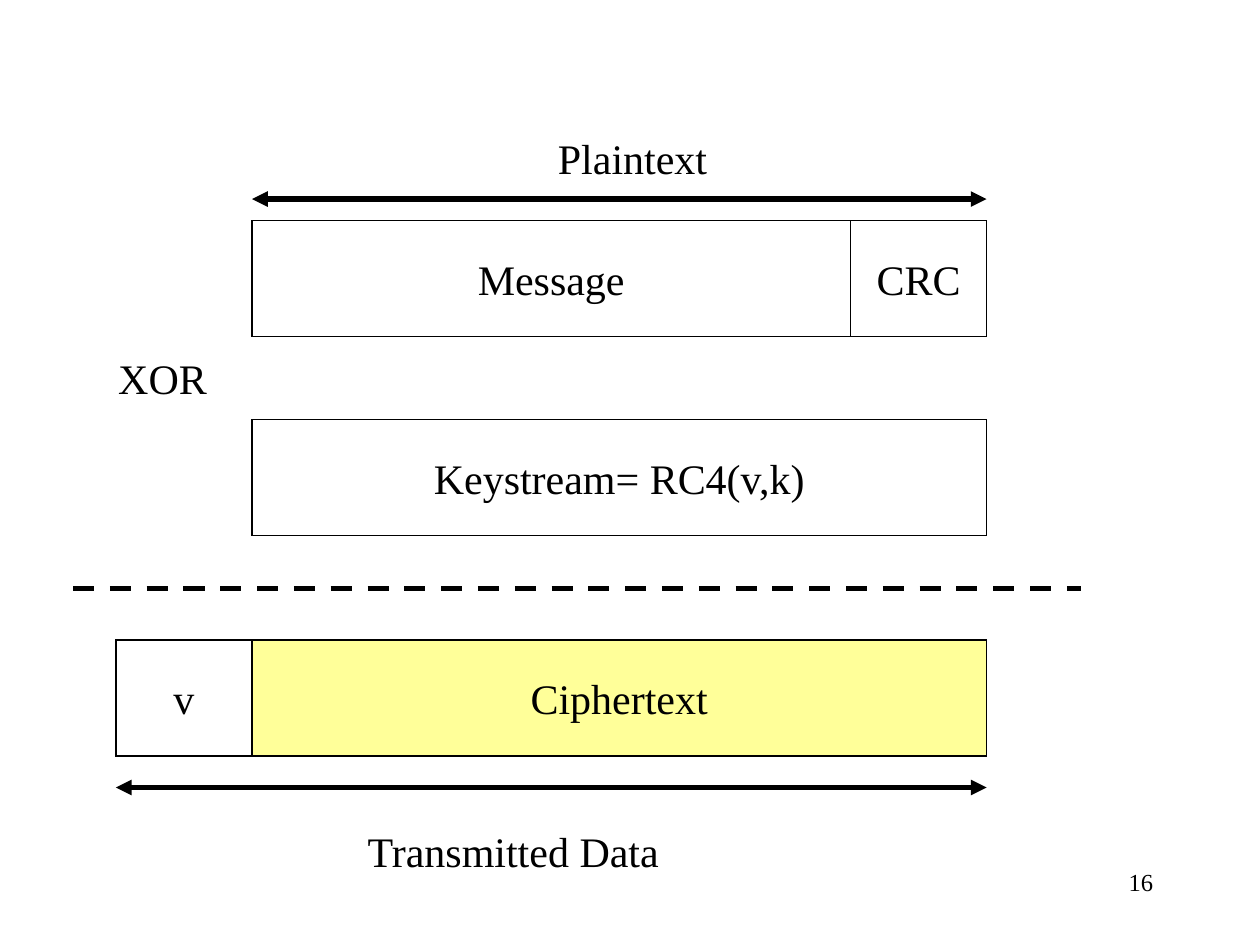
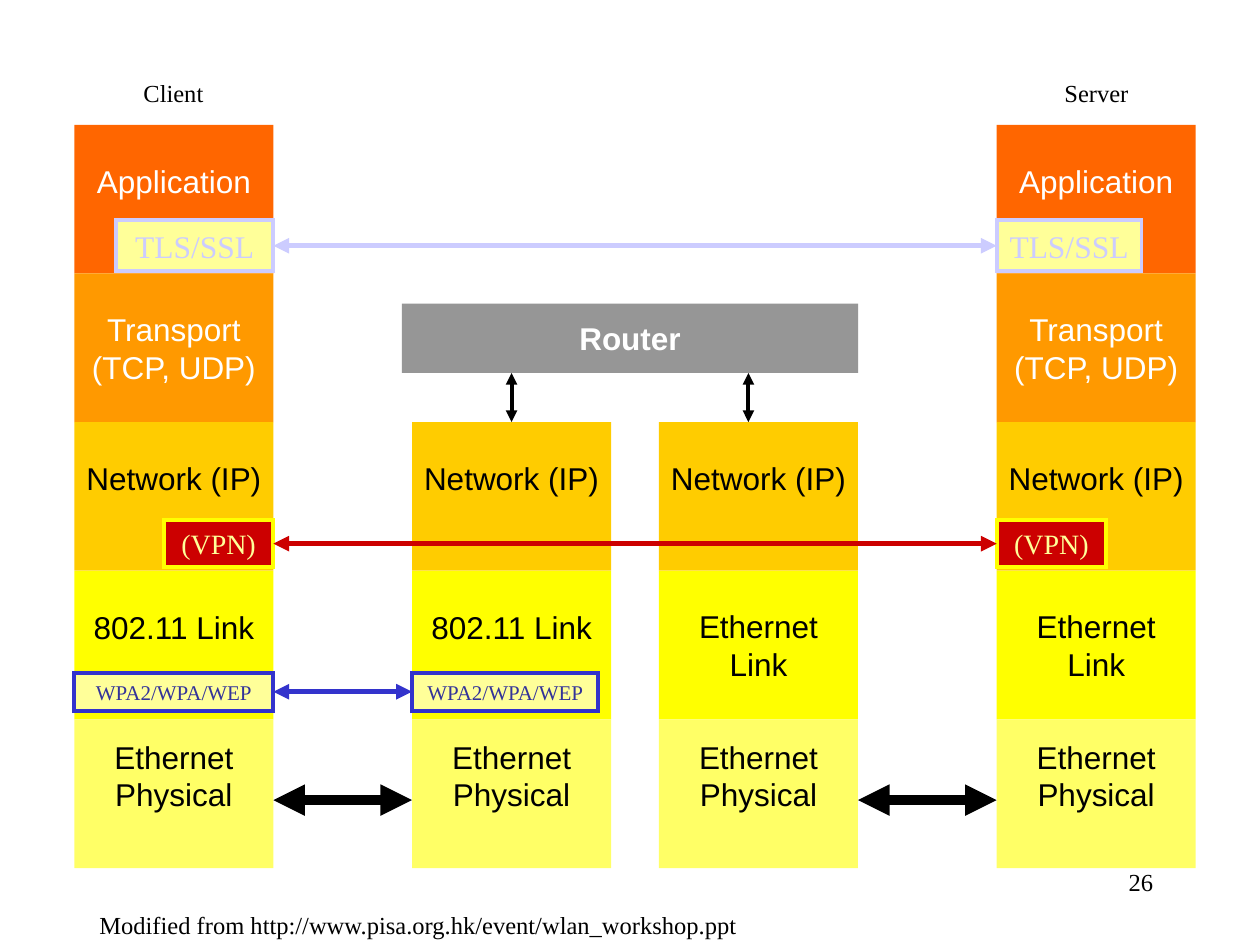
import pptx
import pptx.dml.color
import pptx.enum.dml
import pptx.enum.shapes
import pptx.enum.text
import pptx.oxml
import pptx.oxml.ns
import pptx.util
from lxml import etree

Inches, Pt = pptx.util.Inches, pptx.util.Pt
RGB = pptx.dml.color.RGBColor
ALIGN = pptx.enum.text.PP_ALIGN
ANCHOR = pptx.enum.text.MSO_ANCHOR
AUTO_SIZE = pptx.enum.text.MSO_AUTO_SIZE
DASH = pptx.enum.dml.MSO_LINE.DASH
qn = pptx.oxml.ns.qn

BLACK, WHITE = RGB(0, 0, 0), RGB(255, 255, 255)
PALE_YELLOW = RGB(0xFF, 0xFF, 0x99)
YELLOW = RGB(0xFF, 0xFF, 0)
LAVENDER = RGB(0xCC, 0xCC, 0xFF)
RED = RGB(0xCC, 0, 0)
BLUE, INDIGO = RGB(0x33, 0x33, 0xCC), RGB(0x33, 0x33, 0x99)
GRAY = RGB(0x96, 0x96, 0x96)

SERIF, SANS = "Times New Roman", "Arial"
BIG = {"name": SERIF, "size": Pt(24), "color": BLACK}
SMALL = {"name": SERIF, "size": Pt(14), "color": BLACK}
TLS = {"name": SERIF, "size": Pt(18), "color": LAVENDER}
VPN = {"name": SERIF, "size": Pt(16), "color": PALE_YELLOW}
WPA = {"name": SERIF, "size": Pt(12), "color": INDIGO}
ROUTER = {"name": SANS, "size": Pt(18), "color": WHITE, "bold": True}
LAYER_DARK = {"name": SANS, "size": Pt(18), "color": WHITE}
LAYER_LIGHT = {"name": SANS, "size": Pt(18), "color": BLACK}

# Protocol layers from top to bottom: fill, text format
LAYERS = [
    (RGB(0xFF, 0x66, 0), LAYER_DARK),
    (RGB(0xFF, 0x99, 0), LAYER_DARK),
    (RGB(0xFF, 0xCC, 0), LAYER_LIGHT),
    (YELLOW, LAYER_LIGHT),
    (RGB(0xFF, 0xFF, 0x66), LAYER_LIGHT),
]
LAYER_TOP, LAYER_W, LAYER_H = 0.99, 1.58, 1.18
RAISED, CENTRED = 0.34, 0.05  # bottom insets; the larger lifts text by half a line

APPLICATION = ("Application", RAISED)
TRANSPORT = ("Transport\n(TCP, UDP)", CENTRED)
NETWORK = ("Network (IP)", RAISED)
WIFI_LINK = ("802.11 Link", RAISED)
ETHERNET_LINK = ("Ethernet\nLink", CENTRED)
PHYSICAL = ("Ethernet\nPhysical", RAISED)

CLIENT_X, WIFI_X, WIRED_X, SERVER_X = 0.59, 3.27, 5.23, 7.91
STACKS = [
    (CLIENT_X, [APPLICATION, TRANSPORT, NETWORK, WIFI_LINK, PHYSICAL]),
    (WIFI_X, [NETWORK, WIFI_LINK, PHYSICAL]),
    (WIRED_X, [NETWORK, ETHERNET_LINK, PHYSICAL]),
    (SERVER_X, [APPLICATION, TRANSPORT, NETWORK, ETHERNET_LINK, PHYSICAL]),
]


def write(tf, text, fmt, align):
    """Fill a text frame, one paragraph for each line of text."""
    for i, words in enumerate(text.split("\n")):
        p = tf.add_paragraph() if i else tf.paragraphs[0]
        p.alignment = align
        r = p.add_run()
        r.text = words
        for key, value in fmt.items():
            if key == "color":
                r.font.color.rgb = value
            else:
                setattr(r.font, key, value)


def add_box(s, x, y, w, h, text, fmt, fill=None, line=None, weight=0.75, bottom=0.05):
    sp = s.shapes.add_shape(pptx.enum.shapes.MSO_SHAPE.RECTANGLE,
                            Inches(x), Inches(y), Inches(w), Inches(h))
    sp.shadow.inherit = False
    if fill is None:
        sp.fill.background()
    else:
        sp.fill.solid()
        sp.fill.fore_color.rgb = fill
    if line is None:
        sp.line.fill.background()
    else:
        sp.line.color.rgb = line
        sp.line.width = Pt(weight)
        etree.SubElement(sp.line._get_or_add_ln(), qn("a:miter"), lim="800000")
    tf = sp.text_frame
    tf.word_wrap = False
    tf.vertical_anchor = ANCHOR.MIDDLE
    tf.margin_bottom = Inches(bottom)
    write(tf, text, fmt, ALIGN.CENTER)
    return sp


def add_label(s, x, y, w, h, text, fmt):
    tf = s.shapes.add_textbox(Inches(x), Inches(y), Inches(w), Inches(h)).text_frame
    tf.word_wrap = False
    tf.auto_size = AUTO_SIZE.SHAPE_TO_FIT_TEXT
    write(tf, text, fmt, ALIGN.LEFT)


def add_page_number(s, number):
    sp = s.shapes.add_textbox(Inches(7.17), Inches(6.83), Inches(2.08), Inches(0.5))
    sp.text_frame.word_wrap = True
    write(sp.text_frame, str(number), SMALL, ALIGN.RIGHT)


def add_line(s, x1, y1, x2, y2, color=BLACK, weight=3, dash=None):
    c = s.shapes.add_connector(pptx.enum.shapes.MSO_CONNECTOR.STRAIGHT,
                               Inches(x1), Inches(y1), Inches(x2), Inches(y2))
    c.line.color.rgb = color
    c.line.width = Pt(weight)
    if dash:
        c.line.dash_style = dash
    etree.SubElement(c._element.spPr, qn("a:effectLst"))
    return c


def add_arrow(s, *ends, **style):
    """Draw a line with a triangle at both ends."""
    c = add_line(s, *ends, **style)
    ln = c.line._get_or_add_ln()
    for tag in ("a:headEnd", "a:tailEnd"):
        etree.SubElement(ln, qn(tag), type="triangle")
    return c


def link(s, left, right, color):
    """Join the facing sides of two boxes with a double arrow."""
    c = add_arrow(s, 0, 0, 0, 0, color=color)
    c.begin_connect(left, 3)
    c.end_connect(right, 1)


def add_text_shadow(sp):
    for r in sp.text_frame.paragraphs[0].runs:
        effects = etree.Element(qn("a:effectLst"))
        shadow = etree.SubElement(effects, qn("a:outerShdw"), dist="17961", dir="2700000")
        etree.SubElement(shadow, qn("a:srgbClr"), val="C0C0C0")
        r.font._element.find(qn("a:solidFill")).addnext(effects)


def add_stack(s, x, layers):
    """Stack layers that end at the physical one; return the boxes."""
    first = len(LAYERS) - len(layers)
    boxes = []
    for i, (text, bottom) in enumerate(layers, first):
        fill, fmt = LAYERS[i]
        boxes.append(add_box(s, x, LAYER_TOP + i * LAYER_H, LAYER_W, LAYER_H,
                             text, fmt, fill, bottom=bottom))
    return boxes


def build_encryption_slide(prs):
    s = prs.slides.add_slide(prs.slide_layouts[6])
    v_x, left, right, box_h, small_w = 0.92, 2, 7.83, 0.92, 1.08
    for x, y, w, text, fill in [
        (left, 1.75, 4.75, "Message", None),
        (left, 3.33, right - left, "Keystream= RC4(v,k)", None),
        (left, 5.08, right - left, "Ciphertext", PALE_YELLOW),
        (v_x, 5.08, small_w, "v", None),
        (right - small_w, 1.75, small_w, "CRC", None),
    ]:
        add_box(s, x, y, w, box_h, text, BIG, fill, BLACK)
    for x, y, w, text in [(0.84, 2.75, 1, "XOR"), (4.33, 1, 1.5, "Plaintext"),
                          (2.82, 6.5, 2.6, "Transmitted Data")]:
        add_label(s, x, y, w, 0.5, text, BIG)
    add_line(s, 0.58, 4.67, 8.58, 4.67, dash=DASH)
    add_arrow(s, left, 1.58, right, 1.58)
    add_arrow(s, v_x, 6.25, right, 6.25)
    add_page_number(s, 16)


def build_layers_slide(prs):
    s = prs.slides.add_slide(prs.slide_layouts[6])
    stacks = [add_stack(s, x, layers) for x, layers in STACKS]

    # Security protocols: text, format, fill, line, top, height, (left, width) pairs
    for text, fmt, fill, line, y, h, places in [
        ("TLS/SSL", TLS, PALE_YELLOW, LAVENDER, 1.75, 0.4, [(0.92, 1.25), (SERVER_X, 1.15)]),
        ("(VPN)", VPN, RED, YELLOW, 4.13, 0.37, [(1.3, 0.87), (SERVER_X, 0.87)]),
        ("WPA2/WPA/WEP", WPA, PALE_YELLOW, BLUE, 5.34, 0.3,
         [(CLIENT_X, LAYER_W), (WIFI_X, 1.48)]),
    ]:
        pair = [add_box(s, x, y, w, h, text, fmt, fill, line, 2.25) for x, w in places]
        if fmt is TLS:
            for sp in pair:
                add_text_shadow(sp)
        link(s, *pair, color=RED if fmt is VPN else line)

    add_box(s, 3.19, 2.41, 3.62, 0.55, "Router", ROUTER, GRAY)
    wifi_arrow = add_arrow(s, 4.06, 2.96, 4.06, 3.35, weight=2.25)
    wifi_arrow.end_connect(stacks[1][0], 0)
    add_arrow(s, 5.94, 2.96, 5.94, 3.35, weight=2.25)
    for x1, x2 in [(CLIENT_X + LAYER_W, WIFI_X), (WIRED_X + LAYER_W, SERVER_X)]:
        add_arrow(s, x1, 6.35, x2, 6.35, weight=6)

    for x, y, w, text in [
        (0.69, 7.17, 5.4, "Modified from http://www.pisa.org.hk/event/wlan_workshop.ppt"),
        (1.04, 0.57, 0.8, "Client"),
        (8.35, 0.57, 0.8, "Server"),
    ]:
        add_label(s, x, y, w, 0.34, text, SMALL)
    add_page_number(s, 26)


def main():
    prs = pptx.Presentation()
    prs.slide_width, prs.slide_height = Inches(10), Inches(7.5)
    build_encryption_slide(prs)
    build_layers_slide(prs)
    prs.save("out.pptx")


if __name__ == "__main__":
    main()
